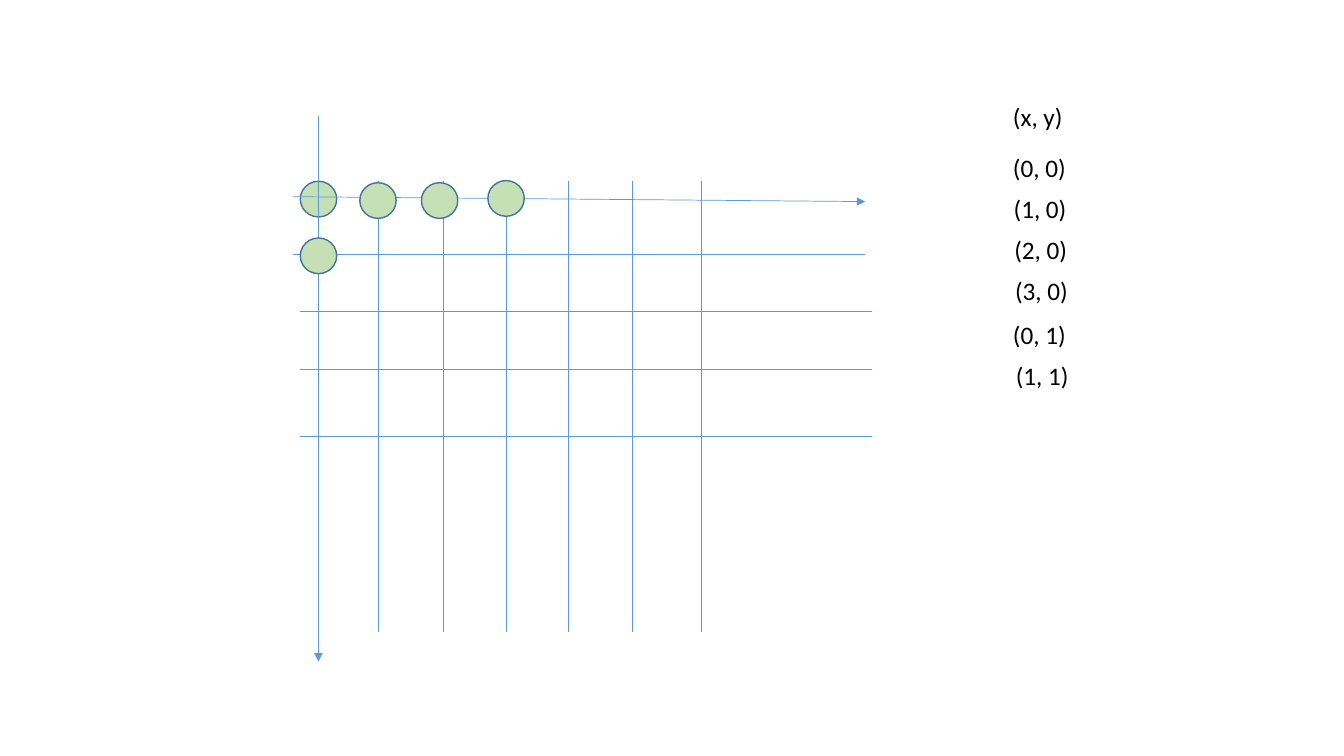
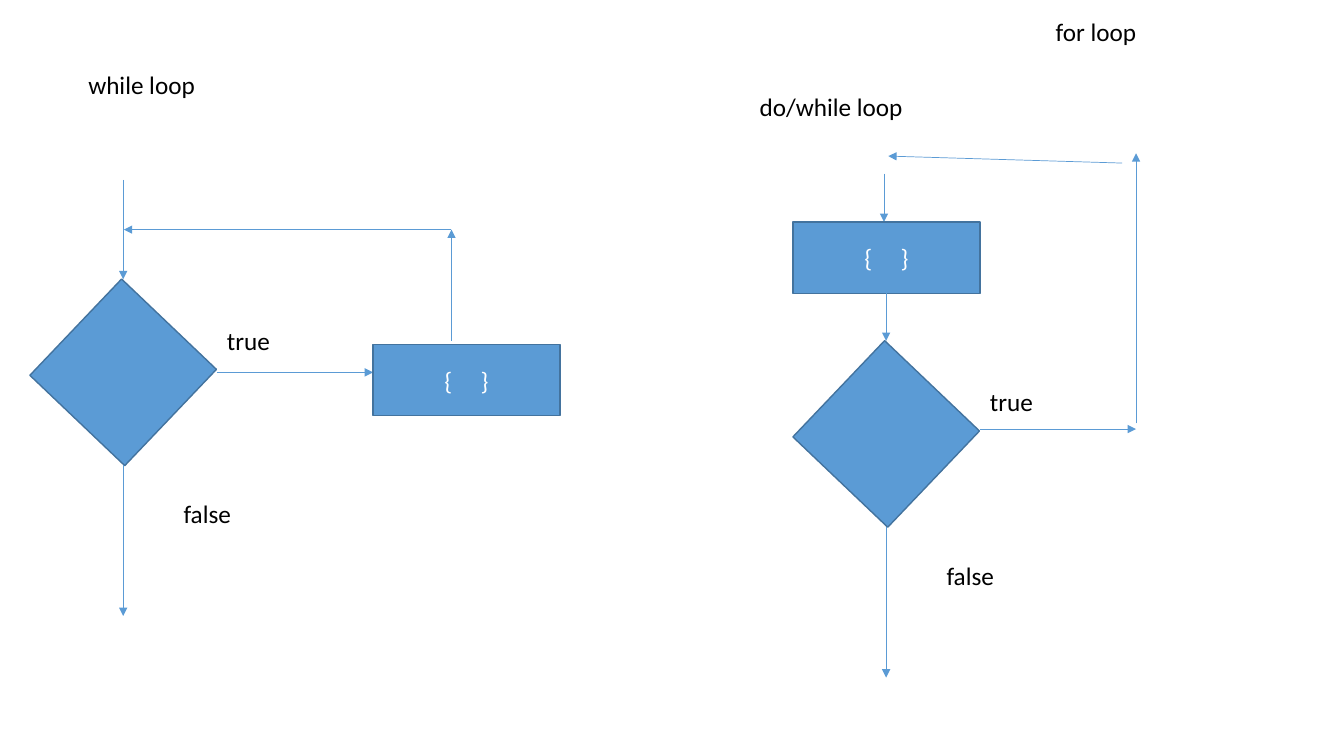
from lxml.etree import SubElement
from pptx import Presentation
from pptx.dml.color import RGBColor
from pptx.enum.shapes import MSO_CONNECTOR, MSO_SHAPE
from pptx.enum.text import MSO_ANCHOR, MSO_AUTO_SIZE, PP_ALIGN
from pptx.oxml.ns import qn
from pptx.util import Pt

# Shared style
FONT, TEXT_SIZE, TEXT_HEIGHT = "Calibri", 18, 29
BLUE, OUTLINE, GREEN = "5B9BD5", "43739E", "C5E0B4"
BLACK, WHITE = "000000", "FFFFFF"


def rgb(hex_color):
    return RGBColor.from_string(hex_color)


def style_text(p, color):
    p.font.name = FONT
    p.font.size = Pt(TEXT_SIZE)
    p.font.color.rgb = rgb(color)


def add_label(slide, text, left, top, width):
    tf = slide.shapes.add_textbox(Pt(left), Pt(top), Pt(width), Pt(TEXT_HEIGHT)).text_frame
    tf.word_wrap = False
    tf.auto_size = MSO_AUTO_SIZE.SHAPE_TO_FIT_TEXT
    tf.text = text
    style_text(tf.paragraphs[0], BLACK)


def add_line(slide, x1, y1, x2, y2, arrow=False):
    line = slide.shapes.add_connector(
        MSO_CONNECTOR.STRAIGHT, Pt(x1), Pt(y1), Pt(x2), Pt(y2))
    line.line.color.rgb = rgb(BLUE)
    line.line.width = Pt(0.5)
    sp_pr = line._element.spPr
    if arrow:
        SubElement(sp_pr.find(qn("a:ln")), qn("a:tailEnd"), type="triangle")
    SubElement(sp_pr, qn("a:effectLst"))


def add_arrow(slide, x1, y1, x2, y2):
    add_line(slide, x1, y1, x2, y2, arrow=True)


def add_filled(slide, kind, left, top, width, height, fill):
    sp = slide.shapes.add_shape(kind, Pt(left), Pt(top), Pt(width), Pt(height))
    sp.shadow.inherit = False
    sp.fill.solid()
    sp.fill.fore_color.rgb = rgb(fill)
    sp.line.color.rgb = rgb(OUTLINE)
    sp.line.width = Pt(1)
    return sp


def add_dot(slide, left, top):
    add_filled(slide, MSO_SHAPE.OVAL, left, top, 26, 25.5, GREEN)


def add_body(slide, left, top):
    """Box for the statements inside a loop."""
    tf = add_filled(slide, MSO_SHAPE.RECTANGLE, left, top, 133.5, 51, BLUE).text_frame
    tf.vertical_anchor = MSO_ANCHOR.MIDDLE
    tf.text = "{     }"
    p = tf.paragraphs[0]
    p.alignment = PP_ALIGN.CENTER
    style_text(p, WHITE)


def add_decision(slide, cx, cy, true_y):
    """Loop condition centred on (cx, cy), with its true and false exits."""
    width, height = 93.6, 95
    sp = add_filled(slide, MSO_SHAPE.RECTANGLE, cx - width / 2, cy - height / 2,
                    width, height, BLUE)
    sp.rotation = 43.6
    add_arrow(slide, cx, cy + 66.5, cx, cy + 174)
    add_arrow(slide, cx + 67, true_y, cx + 178.5, true_y)
    add_label(slide, "true", cx + 67, cy - 37.5, 45.5)
    add_label(slide, "false", cx + 36, cy + 86.5, 49)


def build_grid(slide):
    # Origin dot lies behind the axes
    add_dot(slide, 214.5, 129.5)
    add_arrow(slide, 209, 140.5, 618, 144)
    add_arrow(slide, 227.5, 83, 227.5, 472.5)

    # Grid lines
    for left, y in ((209, 182), (214, 222.5), (214, 263.5), (214, 312)):
        add_line(slide, left, y, left + 409, y)
    for x in (270.5, 317, 361.5, 406, 452, 501):
        add_line(slide, x, 129.5, x, 451.5)

    # Plotted points
    for left, top in ((257, 130.5), (301, 130.5), (348.5, 129), (214.5, 170)):
        add_dot(slide, left, top)

    # Coordinate list
    for text, left, top in (("(x, y)", 716.5, 68.5), ("(0, 0)", 716.5, 105),
                            ("(1, 0)", 717, 134.5), ("(2, 0)", 717.5, 163.5),
                            ("(3, 0)", 718, 193), ("(0, 1)", 716.5, 224.5),
                            ("(1, 1)", 718.5, 253.5)):
        add_label(slide, text, left, top, 52.5)


def build_loops(slide):
    # while loop
    add_label(slide, "while loop", 56, 46, 91.5)
    add_arrow(slide, 88, 128.5, 88, 199.5)
    add_decision(slide, 88, 266, 266)
    add_body(slide, 266.5, 246)
    add_arrow(slide, 322.5, 243.5, 322.5, 164)
    add_arrow(slide, 322.5, 164, 88.5, 164)

    # do/while loop
    add_label(slide, "do/while loop", 535.5, 61.5, 118)
    add_arrow(slide, 631.5, 124, 631.5, 158.5)
    add_body(slide, 566.5, 158.5)
    add_arrow(slide, 633, 209.5, 633, 243.5)
    add_decision(slide, 633, 310, 306.5)
    add_arrow(slide, 811.5, 302.5, 811.5, 109.5)
    add_arrow(slide, 801.5, 116.5, 634.5, 111.5)

    # for loop
    add_label(slide, "for loop", 747, 8, 72.5)


def main():
    prs = Presentation()
    prs.slide_width, prs.slide_height = Pt(960), Pt(540)
    blank = prs.slide_layouts[6]
    for build in (build_grid, build_loops):
        build(prs.slides.add_slide(blank))
    prs.save("out.pptx")


if __name__ == "__main__":
    main()
